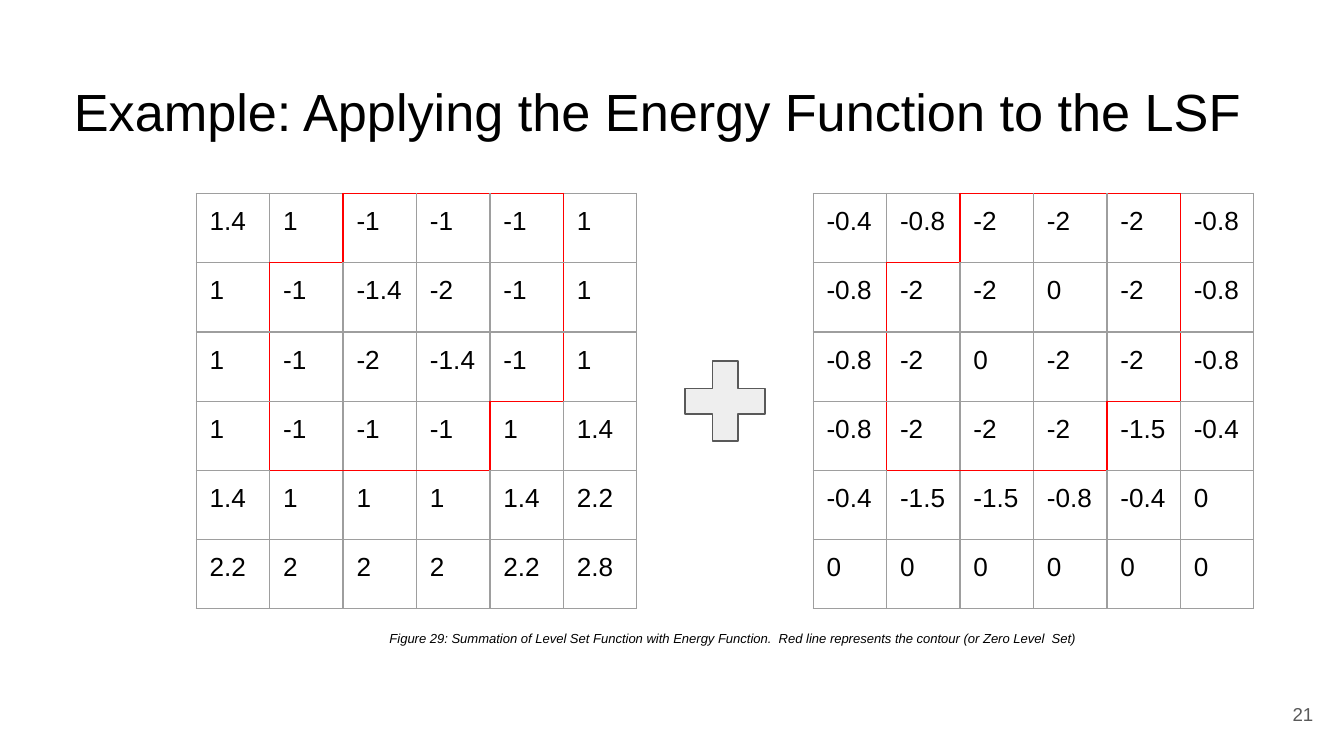
from lxml.etree import SubElement
from pptx import Presentation
from pptx.dml.color import RGBColor
from pptx.enum.shapes import MSO_SHAPE as Shape
from pptx.enum.text import MSO_ANCHOR as Anchor, PP_ALIGN as Align
from pptx.oxml.ns import qn
from pptx.util import Inches, Pt

FONT = "Arial"
BLACK, GRAY, LIGHT = "000000", "595959", "EEEEEE"
GRID, CONTOUR = "9E9E9E", "FF0000"
LINE_WIDTH = Pt(0.75)
MARGIN = Inches(0.1)
CELL_WIDTH, CELL_HEIGHT = Inches(3.28 / 6), Inches(3.09 / 6)

LEVEL_SET = [
    "1.4 1 -1 -1 -1 1",
    "1 -1 -1.4 -2 -1 1",
    "1 -1 -2 -1.4 -1 1",
    "1 -1 -1 -1 1 1.4",
    "1.4 1 1 1 1.4 2.2",
    "2.2 2 2 2 2.2 2.8",
]
ENERGY = [
    "-0.4 -0.8 -2 -2 -2 -0.8",
    "-0.8 -2 -2 0 -2 -0.8",
    "-0.8 -2 0 -2 -2 -0.8",
    "-0.8 -2 -2 -2 -1.5 -0.4",
    "-0.4 -1.5 -1.5 -0.8 -0.4 0",
    "0 0 0 0 0 0",
]
# Cells with a negative level set value lie inside the contour.
INSIDE = {
    (row, column)
    for row, line in enumerate(LEVEL_SET)
    for column, value in enumerate(line.split())
    if float(value) < 0
}
# Border tag -> step to the neighbouring cell, in schema order
SIDES = {"a:lnL": (0, -1), "a:lnR": (0, 1), "a:lnT": (-1, 0), "a:lnB": (1, 0)}


def color(value):
    return RGBColor.from_string(value)


class SlideBuilder:
    def __init__(self, page):
        self.page = page

    def format_text(self, frame, text, size, fill=BLACK, italic=False, align=Align.LEFT):
        frame.text = text
        frame.word_wrap = True
        frame.margin_left = frame.margin_right = MARGIN
        frame.margin_top = frame.margin_bottom = MARGIN
        para = frame.paragraphs[0]
        para.alignment = align
        font = para.runs[0].font
        font.name, font.size, font.italic = FONT, Pt(size), italic
        font.color.rgb = color(fill)

    def title(self, text, left, top, width, height):
        title = self.page.shapes.title
        title.left, title.top = Inches(left), Inches(top)
        title.width, title.height = Inches(width), Inches(height)
        frame = title.text_frame
        self.format_text(frame, text, 28)
        frame.vertical_anchor = Anchor.TOP
        frame.margin_left = Inches(0.21)

    def text(self, text, left, top, width, height, size,
             anchor=Anchor.TOP, margin_top=0.1, **style):
        box = self.page.shapes.add_textbox(
            Inches(left), Inches(top), Inches(width), Inches(height))
        frame = box.text_frame
        self.format_text(frame, text, size, **style)
        frame.vertical_anchor = anchor
        frame.margin_top = Inches(margin_top)

    def border(self, cell, tag, line_color):
        line = SubElement(cell._tc.get_or_add_tcPr(), qn(tag), w=str(LINE_WIDTH))
        fill = SubElement(line, qn("a:solidFill"))
        SubElement(fill, qn("a:srgbClr"), val=line_color)

    def matrix(self, lines, left, top):
        """Draw a grid of values with the contour in red."""
        size = len(lines)
        table = self.page.shapes.add_table(
            size, size, Inches(left), Inches(top),
            CELL_WIDTH * size, CELL_HEIGHT * size).table
        table.first_row = table.horz_banding = False
        for column in table.columns:
            column.width = CELL_WIDTH
        for row, line in enumerate(lines):
            table.rows[row].height = CELL_HEIGHT
            for column, value in enumerate(line.split()):
                cell = table.cell(row, column)
                self.format_text(cell.text_frame, value, 14)
                cell.margin_left = cell.margin_right = MARGIN
                cell.margin_top = cell.margin_bottom = MARGIN
                for tag, (down, across) in SIDES.items():
                    neighbour = (row + down, column + across)
                    crosses = ((row, column) in INSIDE) != (neighbour in INSIDE)
                    self.border(cell, tag, CONTOUR if crosses else GRID)
                cell.fill.background()

    def plus(self, left, top, size):
        sign = self.page.shapes.add_shape(
            Shape.MATH_PLUS, Inches(left), Inches(top), Inches(size), Inches(size))
        sign.adjustments[0] = 0.235
        sign.shadow.inherit = False
        sign.fill.solid()
        sign.fill.fore_color.rgb = color(LIGHT)
        sign.line.color.rgb = color(GRAY)
        sign.line.width = LINE_WIDTH


def main():
    deck = Presentation()
    deck.slide_width = Inches(10)
    deck.slide_height = deck.slide_width * 9 // 16
    builder = SlideBuilder(deck.slides.add_slide(deck.slide_layouts[5]))

    builder.title("Example: Applying the Energy Function to the LSF", 0.34, 0.49, 9.32, 0.63)
    builder.text("21", 9.27, 5.1, 0.6, 0.43, 10, Anchor.MIDDLE, fill=GRAY, align=Align.RIGHT)
    builder.matrix(ENERGY, 6.05, 1.44)
    builder.matrix(LEVEL_SET, 1.46, 1.44)
    builder.plus(4.99, 2.58, 0.81)
    builder.text(
        "Figure 29: Summation of Level Set Function with Energy Function.  "
        "Red line represents the contour (or Zero Level  Set)",
        2.8, 4.61, 6.33, 0.39, 7, margin_top=0.14, italic=True)

    deck.save("out.pptx")


if __name__ == "__main__":
    main()
